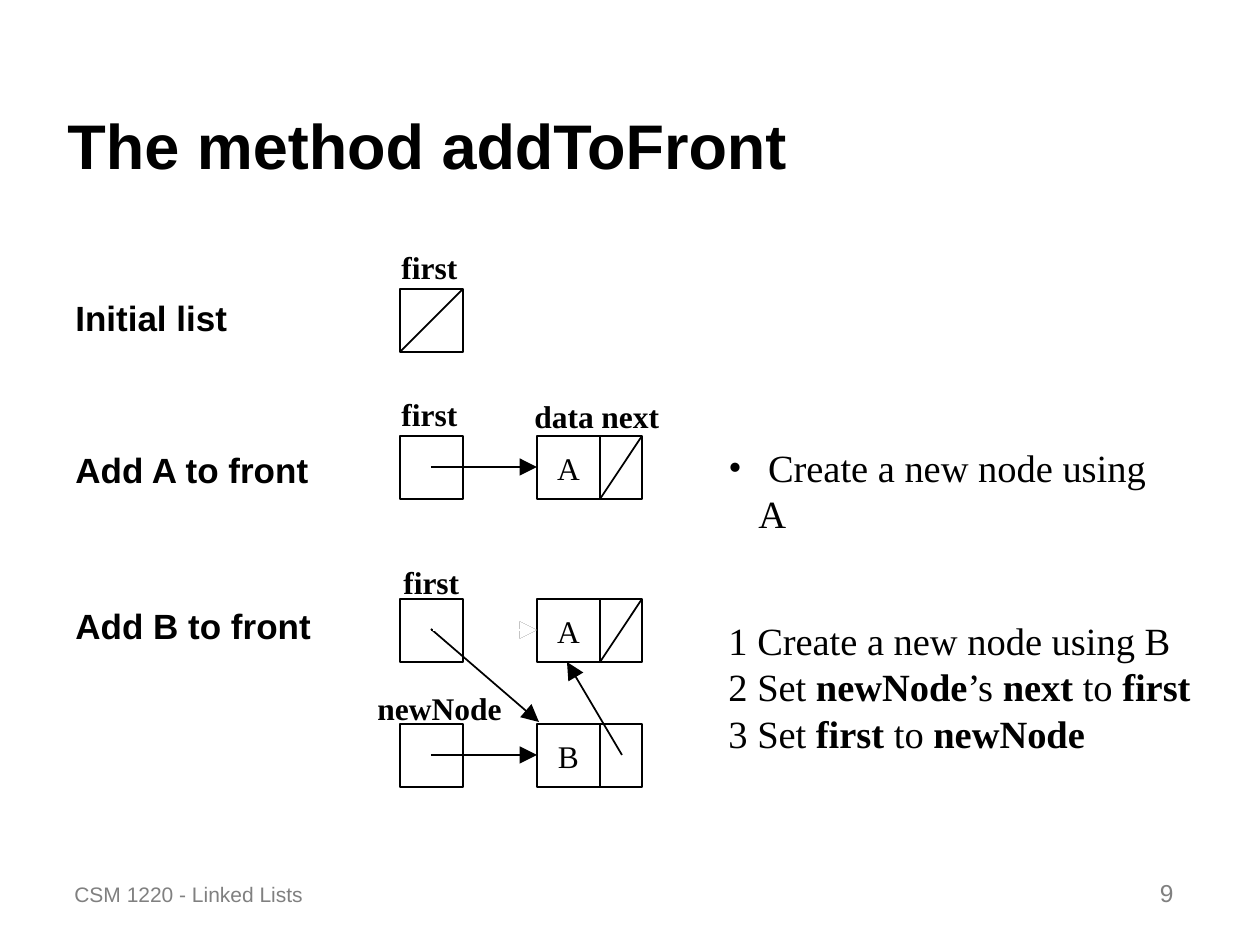
from lxml import etree
from pptx import Presentation
from pptx.dml.color import RGBColor
from pptx.enum.shapes import MSO_CONNECTOR, MSO_SHAPE
from pptx.enum.text import MSO_ANCHOR, PP_ALIGN
from pptx.oxml.ns import qn
from pptx.util import Pt

BLACK = RGBColor(0x00, 0x00, 0x00)
WHITE = RGBColor(0xFF, 0xFF, 0xFF)
GRAY = RGBColor(0x80, 0x80, 0x80)
SANS, SERIF = "Arial", "Times New Roman"
RECT, STRAIGHT = MSO_SHAPE.RECTANGLE, MSO_CONNECTOR.STRAIGHT
TOP, MIDDLE, BOTTOM = MSO_ANCHOR.TOP, MSO_ANCHOR.MIDDLE, MSO_ANCHOR.BOTTOM
LEFT, CENTER, RIGHT = PP_ALIGN.LEFT, PP_ALIGN.CENTER, PP_ALIGN.RIGHT

# Columns and sizes of the list diagrams, in px
REF_X, DATA_X, NEXT_X = 400, 537, 600
CELL, NEXT_W = 63, 42
MID = CELL // 2


def px(n):
    return round(n * 914400 / 126)


def add_runs(p, runs, font, size, color=BLACK):
    for text, bold in runs:
        r = p.add_run()
        r.text = text
        r.font.name, r.font.size, r.font.bold = font, Pt(size), bold
        r.font.color.rgb = color


def add_text(s, x, y, w, h, paragraphs, font, size, color=BLACK,
             anchor=TOP, align=LEFT, wrap=False):
    """Each paragraph is a list of (text, bold) runs."""
    tf = s.shapes.add_textbox(px(x), px(y), px(w), px(h)).text_frame
    tf.word_wrap = wrap
    tf.vertical_anchor = anchor
    for i, runs in enumerate(paragraphs):
        p = tf.paragraphs[0] if i == 0 else tf.add_paragraph()
        p.alignment = align
        add_runs(p, runs, font, size, color)
    return tf


def add_label(s, x, y, w, text):
    add_text(s, x, y, w, 50, [[(text, True)]], SERIF, 18)


def add_heading(s, y, w, text):
    add_text(s, 63, y, w, 55, [[(text, True)]], SANS, 20)


def add_bullet(p, indent):
    pPr = p._p.get_or_add_pPr()
    pPr.set("marL", str(px(indent)))
    pPr.set("indent", str(-px(indent)))
    etree.SubElement(pPr, qn("a:buFont")).set("typeface", SERIF)
    etree.SubElement(pPr, qn("a:buChar")).set("char", "•")


def add_line(s, x1, y1, x2, y2, width=1, color=BLACK, arrow=False):
    c = s.shapes.add_connector(STRAIGHT, px(x1), px(y1), px(x2), px(y2))
    c.line.width = Pt(width)
    c.line.color.rgb = color
    if arrow:
        ln = c.line._get_or_add_ln()
        tail = etree.SubElement(ln, qn("a:tailEnd"))
        tail.set("type", "triangle")
        tail.set("w", "lg")
        tail.set("len", "lg")
    etree.SubElement(c._element.spPr, qn("a:effectLst"))


def add_cell(s, x, y, w=CELL, text=None):
    sp = s.shapes.add_shape(RECT, px(x), px(y), px(w), px(CELL))
    sp.shadow.inherit = False
    sp.fill.solid()
    sp.fill.fore_color.rgb = WHITE
    sp.line.color.rgb = BLACK
    sp.line.width = Pt(1)
    if text:
        tf = sp.text_frame
        tf.word_wrap = False
        tf.vertical_anchor = MIDDLE
        tf.paragraphs[0].alignment = CENTER
        add_runs(tf.paragraphs[0], [(text, False)], SERIF, 18)


def add_null(s, x, y, w):
    add_line(s, x, y + CELL, x + w, y)


def add_list(s, y, data, is_last):
    """A reference cell pointing at a node with data and next cells."""
    add_cell(s, REF_X, y)
    add_line(s, REF_X + MID, y + MID, DATA_X, y + MID, 1.5, arrow=True)
    add_cell(s, DATA_X, y, text=data)
    add_cell(s, NEXT_X, y, NEXT_W)
    if is_last:
        add_null(s, NEXT_X, y, NEXT_W)


def main():
    prs = Presentation()
    prs.slide_width, prs.slide_height = px(1260), px(945)
    s = prs.slides.add_slide(prs.slide_layouts[6])

    add_text(s, 55, 31, 1142, 157, [[("The method addToFront", True)]],
             SANS, 36, anchor=BOTTOM, wrap=True)

    # Initial list
    add_heading(s, 290, 190, "Initial list")
    add_label(s, 389, 242, 88, "first")
    add_cell(s, REF_X, 289)
    add_null(s, REF_X, 289, CELL)

    # Add A to front
    add_heading(s, 442, 270, "Add A to front")
    add_label(s, 389, 389, 88, "first")
    add_list(s, 436, "A", True)
    add_label(s, 522, 391, 94, "data")
    add_label(s, 589, 391, 92, "next")
    tf = add_text(s, 716, 438, 462, 105, [[]], SERIF, 22, wrap=True)
    add_bullet(tf.paragraphs[0], 30)
    add_runs(tf.paragraphs[0], [(" Create a new node using A", False)],
             SERIF, 22)

    # Add B to front
    add_heading(s, 598, 270, "Add B to front")
    old_y, new_y = 599, 724
    add_list(s, old_y, "A", True)
    add_list(s, new_y, "B", False)
    add_label(s, 391, 557, 88, "first")
    add_label(s, 365, 683, 158, "newNode")

    # Links that replace the old one, which is blanked out
    add_line(s, 622, new_y + MID, 567, old_y + CELL, arrow=True)
    add_line(s, REF_X + MID, old_y + MID - 1, 539, new_y - 2, arrow=True)
    add_line(s, 433, old_y + MID, DATA_X, old_y + MID, 1.5, WHITE, True)
    add_line(s, REF_X + CELL, 624, REF_X + CELL, 638)

    add_text(s, 716, 611, 500, 151, [
        [("1 Create a new node using B", False)],
        [("2 Set ", False), ("newNode", True), ("’s ", False),
         ("next", True), (" to ", False), ("first", True)],
        [("3 Set ", False), ("first", True), (" to ", False),
         ("newNode", True)],
    ], SERIF, 22)

    # Footer and slide number
    add_text(s, 62, 850, 378, 63, [[("CSM 1220 - Linked Lists", False)]],
             SANS, 12, GRAY, BOTTOM, wrap=True)
    add_text(s, 924, 851, 262, 63, [[("9", False)]],
             SANS, 14, GRAY, BOTTOM, RIGHT, True)

    prs.save("out.pptx")


if __name__ == "__main__":
    main()
